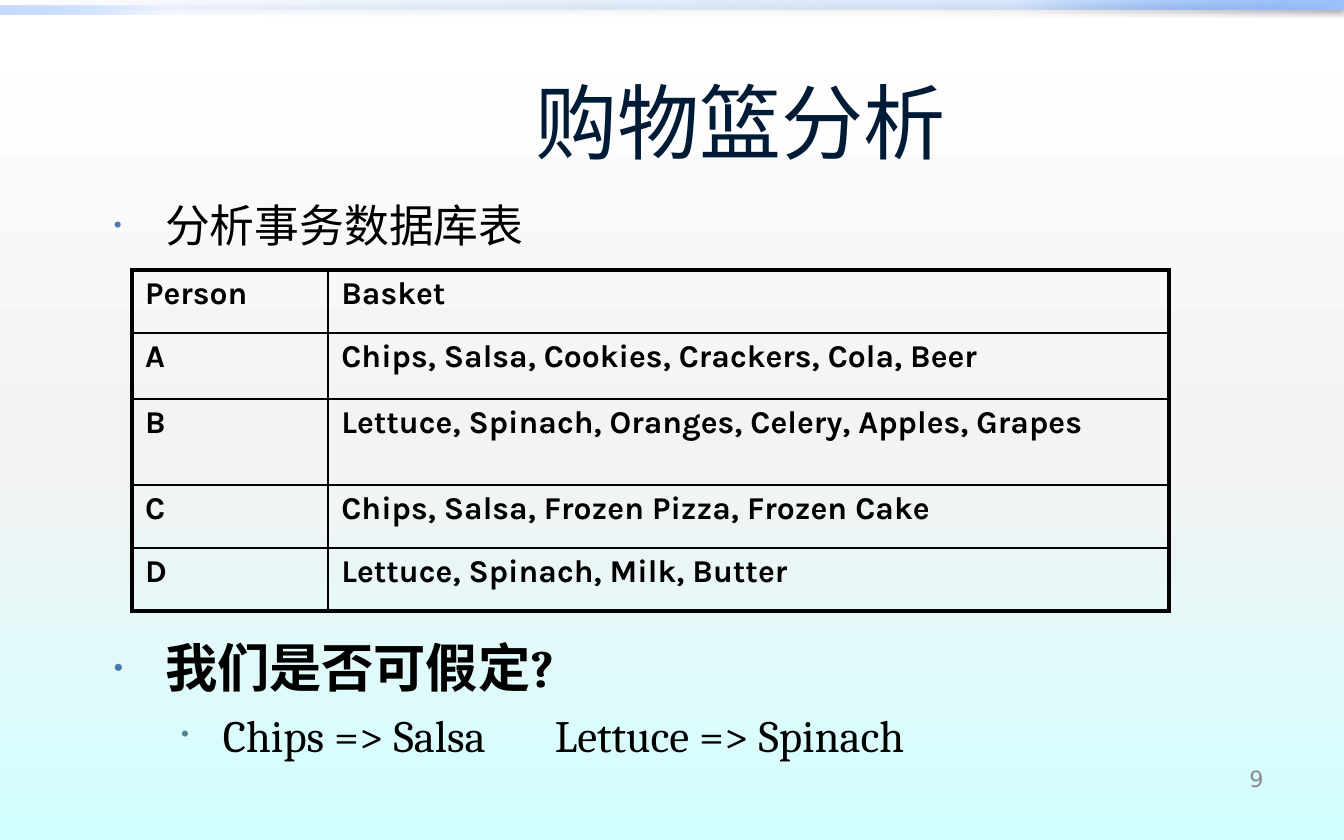
import pptx
import pptx.util
import pptx.dml.color
import pptx.enum.shapes
import pptx.enum.text
import pptx.oxml
import pptx.oxml.ns

Inches = pptx.util.Inches
Pt = pptx.util.Pt
ALIGN = pptx.enum.text.PP_ALIGN
MIDDLE = pptx.enum.text.MSO_ANCHOR.MIDDLE

COLORS = {
    "white": "FFFFFF", "gray": "F3F3F3", "aqua": "D2FFFF",
    "deep": "0058B7", "blue": "4F95FF", "sky": "9EC2FF",
    "black": "000000", "title": "001B36", "number": "898989",
    "dot": "477AB1", "subdot": "51848E",
}
ROWS = [
    ("Person", "Basket", 0.47),
    ("A", "Chips, Salsa, Cookies, Crackers, Cola, Beer", 0.49),
    ("B", "Lettuce, Spinach, Oranges, Celery, Apples, Grapes", 0.64),
    ("C", "Chips, Salsa, Frozen Pizza, Frozen Cake", 0.47),
    ("D", "Lettuce, Spinach, Milk, Butter", 0.47),
]


def node(tag, body="", **attrs):
    text = "".join(f' {key}="{val}"' for key, val in attrs.items())
    space = pptx.oxml.ns.nsdecls("a")
    return pptx.oxml.parse_xml(f"<a:{tag} {space}{text}>{body}</a:{tag}>")


def tint(name, alpha=100):
    return f'<a:srgbClr val="{COLORS[name]}"><a:alpha val="{alpha * 1000}"/></a:srgbClr>'


def blend(fill, root, stops, angle):
    fill.gradient()
    grad = next(root.iter(pptx.oxml.ns.qn("a:gradFill")))
    for child in list(grad):
        grad.remove(child)
    body = "".join(f'<a:gs pos="{pos * 1000}">{tint(name, alpha)}</a:gs>'
                   for pos, name, alpha in stops)
    grad.append(node("gsLst", body))
    grad.append(node("lin", ang=angle * 60000, scaled=0))


def style(para, font, size, color, bold=False):
    for run in para.runs:
        run.font.name = font
        run.font.size = Pt(size)
        run.font.bold = bold
        run.font.color.rgb = pptx.dml.color.RGBColor.from_string(COLORS[color])


def add_bar(slide, box, stops, angle):
    kind = pptx.enum.shapes.MSO_SHAPE.RECTANGLE
    bar = slide.shapes.add_shape(kind, *map(Inches, box))
    bar.shadow.inherit = False
    bar.line.fill.background()
    blend(bar.fill, bar._element, stops, angle)
    return bar


def add_band(slide, box):
    left, top, width, height = box
    bar = add_bar(slide, box, [(0, "deep", 0), (75, "blue", 20), (100, "sky", 100)], 315)
    glow = bar._element.spPr.find(pptx.oxml.ns.qn("a:effectLst"))
    glow.append(node("outerShdw", tint("black", 38), blurRad=Pt(3.1), dist=Pt(1.6),
                     dir=90 * 60000, algn="t", rotWithShape=0))
    add_bar(slide, (left, top + 0.04, width / 2, height),
            [(0, "deep", 0), (75, "blue", 5), (100, "sky", 60)], 135)


def add_title(slide, box, text):
    title = slide.shapes.title
    title.left, title.top, title.width, title.height = map(Inches, box)
    frame = title.text_frame
    frame.text = text
    frame.vertical_anchor = MIDDLE
    frame.paragraphs[0].alignment = ALIGN.CENTER
    style(frame.paragraphs[0], "Calibri", 44, "title")


def add_text(slide, box):
    frame = slide.shapes.add_textbox(*map(Inches, box)).text_frame
    frame.word_wrap = True
    return frame


def add_point(para, text, size, bold=False, margin=0.38, hang=0.38, dot="dot"):
    para.text = text
    para.space_before = Pt(size * 0.2)
    style(para, "Cambria", size, "black", bold)
    props = para._p.get_or_add_pPr()
    props.set("marL", str(Inches(margin)))
    props.set("indent", str(-Inches(hang)))
    props.append(node("buClr", tint(dot)))
    props.append(node("buSzPct", val=50000))
    props.append(node("buFont", typeface="Arial"))
    props.append(node("buChar", char="•"))


def add_intro(slide, box):
    add_point(add_text(slide, box).paragraphs[0], "分析事务数据库表", 24)


def add_rules(slide, box):
    frame = add_text(slide, box)
    add_point(frame.paragraphs[0], "我们是否可假定?", 28, bold=True)
    para = frame.add_paragraph()
    add_point(para, "Chips => Salsa\tLettuce => Spinach", 24,
              margin=0.81, hang=0.31, dot="subdot")
    stop = f'<a:tab pos="{Inches(3.28)}" algn="l"/>'
    para._p.get_or_add_pPr().append(node("tabLst", stop))


def add_borders(cell, edges):
    props = cell._tc.get_or_add_tcPr()
    for spot, (side, outer) in enumerate(edges):
        fill = f"<a:solidFill>{tint('black')}</a:solidFill>"
        props.insert(spot, node(f"ln{side}", fill, w=Pt(2.25 if outer else 1)))


def add_basket(slide, box):
    last = len(ROWS) - 1
    table = slide.shapes.add_table(len(ROWS), 2, *map(Inches, box)).table
    table.first_row = table.horz_banding = False
    table.columns[0].width = Inches(1.46)
    table.columns[1].width = Inches(box[2] - 1.46)
    for row, (person, goods, height) in enumerate(ROWS):
        table.rows[row].height = Inches(height)
        for col, text in enumerate((person, goods)):
            cell = table.cell(row, col)
            cell.text = text
            cell.margin_top = cell.margin_bottom = Inches(0.04)
            cell.fill.background()
            para = cell.text_frame.paragraphs[0]
            para.space_before = Pt(3.4)
            style(para, "Karla", 17, "black", True)
            add_borders(cell, [("L", col == 0), ("R", col == 1),
                               ("T", row == 0), ("B", row == last)])


def add_number(slide, box, text):
    frame = add_text(slide, box)
    frame.text = text
    frame.vertical_anchor = MIDDLE
    frame.paragraphs[0].alignment = ALIGN.RIGHT
    style(frame.paragraphs[0], "DejaVu Sans", 12, "number")


def main():
    deck = pptx.Presentation()
    deck.slide_width, deck.slide_height = Inches(10), Inches(6.25)
    slide = deck.slides.add_slide(deck.slide_layouts[5])
    blend(slide.background.fill, slide._element,
          [(0, "white", 100), (55, "gray", 100), (100, "aqua", 100)], 90)
    add_band(slide, (0, 0, 10, 0.07))
    add_title(slide, (1.25, 0.62, 8.52, 0.56), "购物篮分析")
    add_intro(slide, (0.75, 1.42, 8.03, 0.55))
    add_basket(slide, (0.98, 2.01, 7.72, 2.54))
    add_rules(slide, (0.75, 4.68, 8.03, 1.33))
    add_number(slide, (7.42, 5.62, 2.08, 0.35), "9")
    deck.save("out.pptx")


if __name__ == "__main__":
    main()
